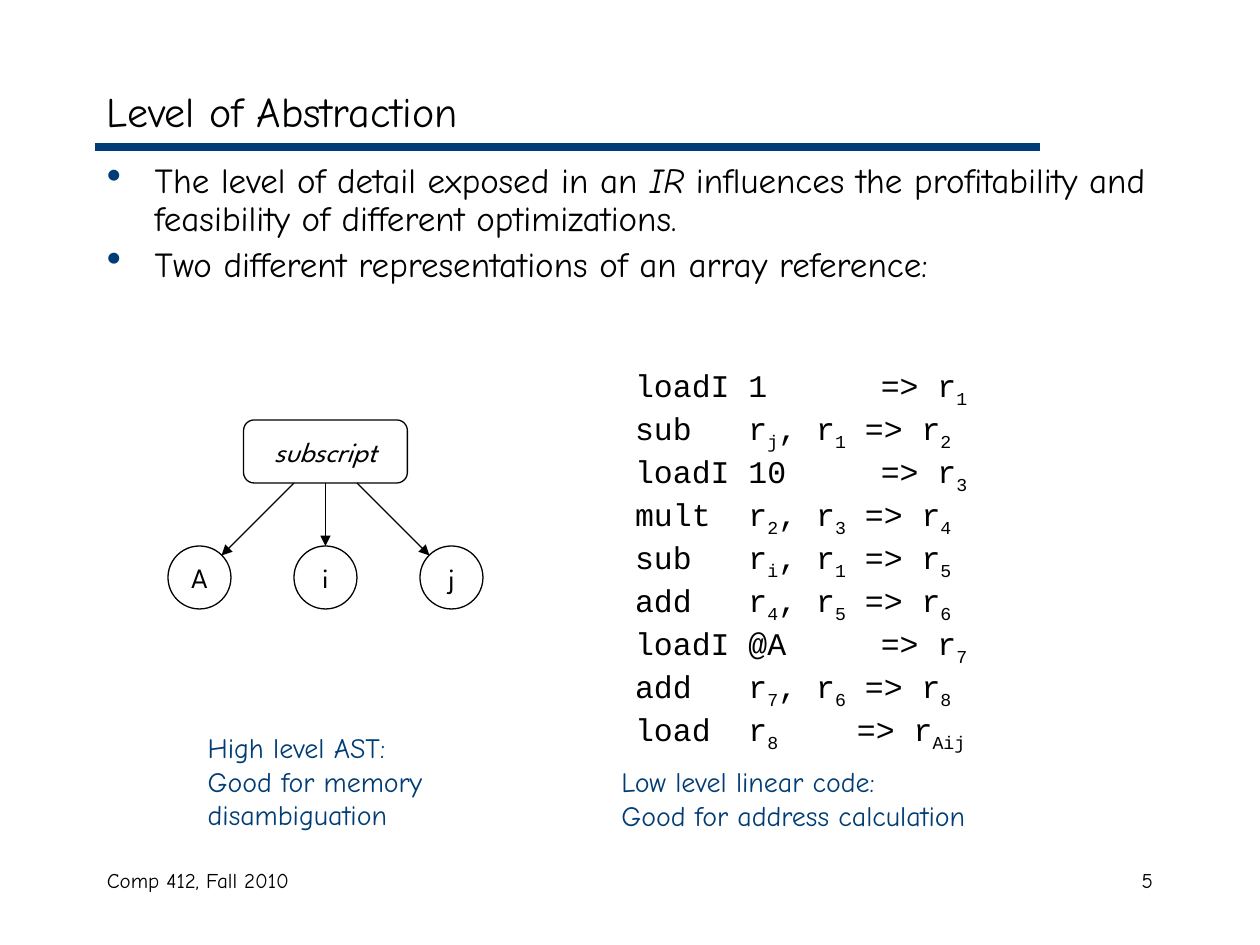
from lxml.etree import SubElement
from pptx import Presentation
from pptx.dml.color import RGBColor
from pptx.enum.shapes import MSO_CONNECTOR, MSO_SHAPE
from pptx.enum.text import MSO_ANCHOR, PP_ALIGN
from pptx.oxml.ns import qn
from pptx.util import Inches, Pt

HUE = {"ink": "000000", "blue": "003C75"}
FACE = {"hand": "Comic Neue", "code": "Courier New", "node": "League Spartan"}

deck = Presentation()
deck.slide_width, deck.slide_height = Inches(10), Inches(7.5)
slide = deck.slides.add_slide(deck.slide_layouts[6])
shapes = slide.shapes
COL, ROW = deck.slide_width / 120, deck.slide_height / 90


def write(shape, lines, size, face, hue="ink", wrap=True, align=PP_ALIGN.LEFT, anchor=MSO_ANCHOR.TOP):
    frame = shape.text_frame
    frame.word_wrap = wrap
    frame.vertical_anchor = anchor
    for n, line in enumerate(lines):
        para = frame.add_paragraph() if n else frame.paragraphs[0]
        para.alignment = align
        for part in line:
            para.add_run().text = part
        para.font.size = Pt(size)
        para.font.name = FACE[face]
        para.font.color.rgb = RGBColor.from_string(HUE[hue])
    return frame.paragraphs


def draw(x1, y1, x2, y2, hue, width, arrow=True):
    line = shapes.add_connector(
        MSO_CONNECTOR.STRAIGHT, int(x1 * COL), int(y1 * ROW), int(x2 * COL), int(y2 * ROW))
    line.line.color.rgb = RGBColor.from_string(HUE[hue])
    line.line.width = Pt(width)
    if arrow:
        SubElement(line.line._get_or_add_ln(), qn("a:tailEnd"), type="triangle")
    SubElement(line._element.spPr, qn("a:effectLst"))


draw(9, 14, 99, 14, "blue", 4.5, arrow=False)

bullets = [
    ["The level of detail exposed in an ", "IR ",
     "influences the profitability and feasibility of different optimizations."],
    ["Two different representations of an array reference:"],
]
code = [
    "loadI 1      => r|1",
    "sub   r|j|, r|1| => r|2",
    "loadI 10     => r|3",
    "mult  r|2|, r|3| => r|4",
    "sub   r|i|, r|1| => r|5",
    "add   r|4|, r|5| => r|6",
    "loadI @A     => r|7",
    "add   r|7|, r|6| => r|8",
    "load  r|8  |   => r|Aij",
]
left = [["High level AST:"], ["Good for memory"], ["disambiguation"]]
right = [["Low level linear code:"], ["Good for address calculation"]]

texts = {}
for name, x, y, w, h, lines, size, face, look in [
    ("foot", 9, 82, 38, 6, [["Comp 412, Fall 2010"]], 12, "hand", {}),
    ("page", 86, 82, 25, 6, [["5"]], 12, "hand", {"align": PP_ALIGN.RIGHT}),
    ("title", 9, 7, 102, 7, [["Level of Abstraction"]], 24, "hand", {"anchor": MSO_ANCHOR.MIDDLE}),
    ("body", 9, 15, 102, 15.25, bullets, 20, "hand", {}),
    ("code", 59.3, 34.3, 35.4, 33.6, [row.split("|") for row in code], 18, "code", {"wrap": False}),
    ("left", 18.6, 69, 24.7, 10.8, left, 16, "hand", {"hue": "blue", "wrap": False}),
    ("right", 58, 72.25, 37.9, 7.7, right, 16, "hand", {"hue": "blue", "wrap": False}),
]:
    box = shapes.add_textbox(int(x * COL), int(y * ROW), int(w * COL), int(h * ROW))
    texts[name] = write(box, lines, size, face, **look)

for para in texts["body"]:
    para.line_spacing = 0.9
    props = para._p.get_or_add_pPr()
    props.set("marL", str(Inches(0.38)))
    props.set("indent", str(-Inches(0.38)))
    tint = props.makeelement(qn("a:buClr"))
    SubElement(tint, qn("a:srgbClr"), val=HUE["blue"])
    marks = [tint, props.makeelement(qn("a:buSzPct"), val="120000"),
             props.makeelement(qn("a:buChar"), char="•")]
    for mark in marks:
        props.find(qn("a:defRPr")).addprevious(mark)
texts["body"][1].space_before = Pt(4.5)
texts["body"][0].runs[1].font.italic = True

for para in texts["code"]:
    for run in para.runs[1::2]:
        run.font._element.set("baseline", "-25000")

nodes = [("subscript", MSO_SHAPE.ROUNDED_RECTANGLE, 31, 40, 15.6)]
nodes += [(name, MSO_SHAPE.OVAL, 19 + 12 * n, 52, 6) for n, name in enumerate("Aij")]
for name, kind, mid, top, wide in nodes:
    node = shapes.add_shape(
        kind, int((mid - wide / 2) * COL), int(top * ROW), int(wide * COL), int(6 * ROW))
    node.shadow.inherit = False
    node.fill.background()
    node.line.color.rgb = RGBColor.from_string(HUE["ink"])
    node.line.width = Pt(0.75)
    paras = write(node, [[name]], 16, "node", wrap=False,
                  align=PP_ALIGN.CENTER, anchor=MSO_ANCHOR.MIDDLE)
    paras[0].font.italic = name == "subscript"

for start, end, low in [(0, 0, 52), (-3, -9.9, 52.9), (3, 9.9, 52.9)]:
    draw(31 + start, 46, 31 + end, low, "ink", 0.75)

deck.save("out.pptx")
